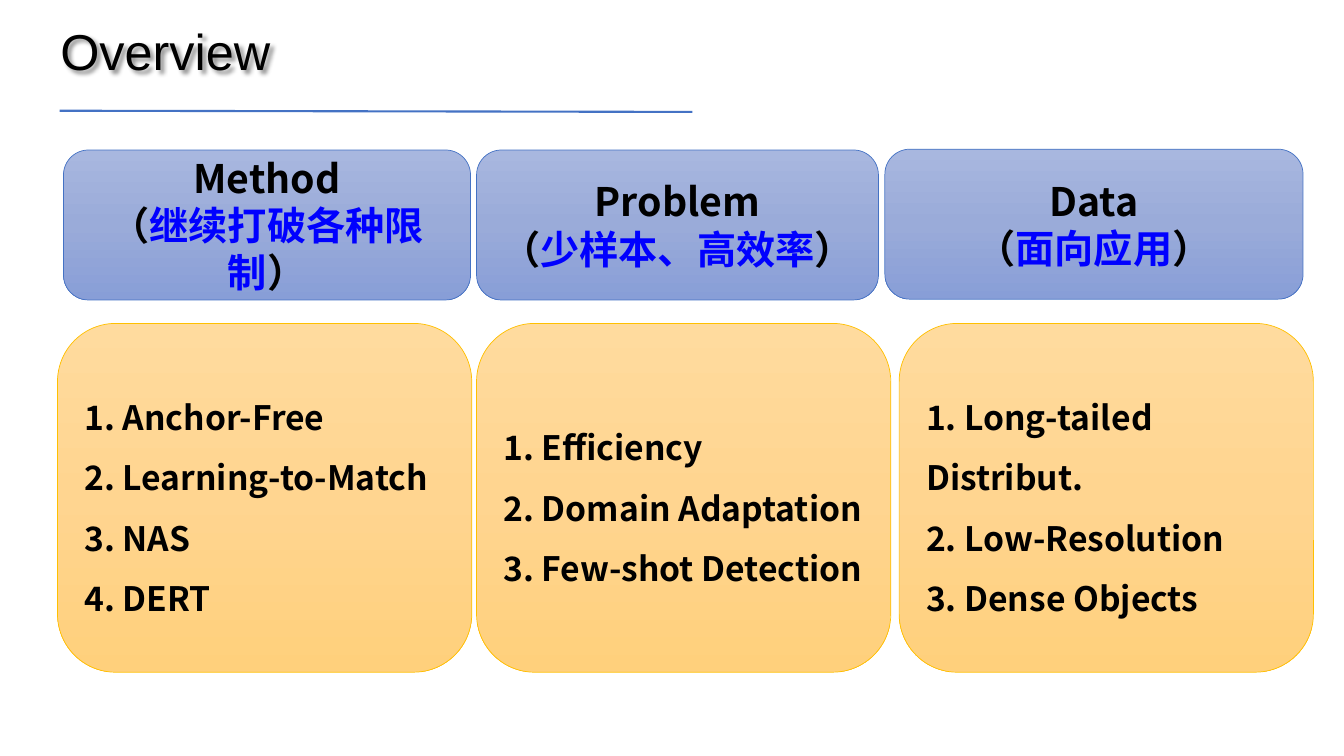
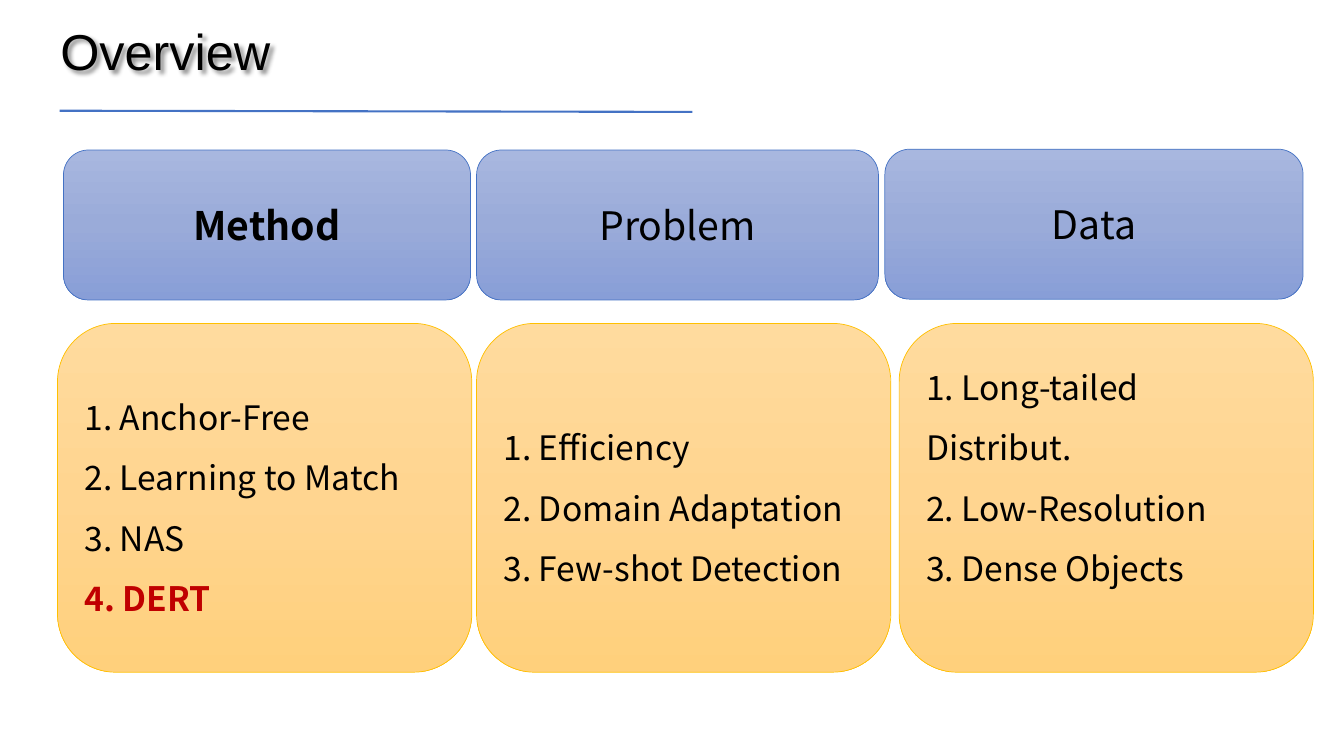
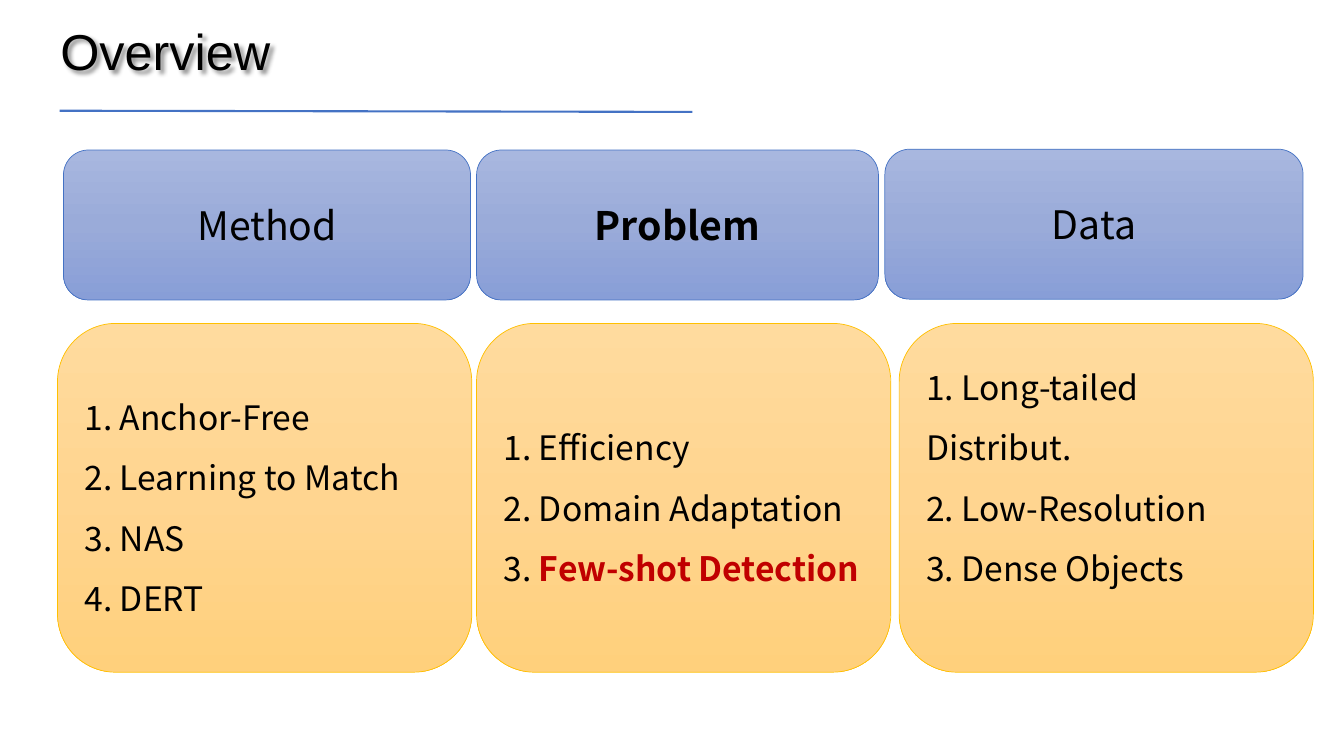
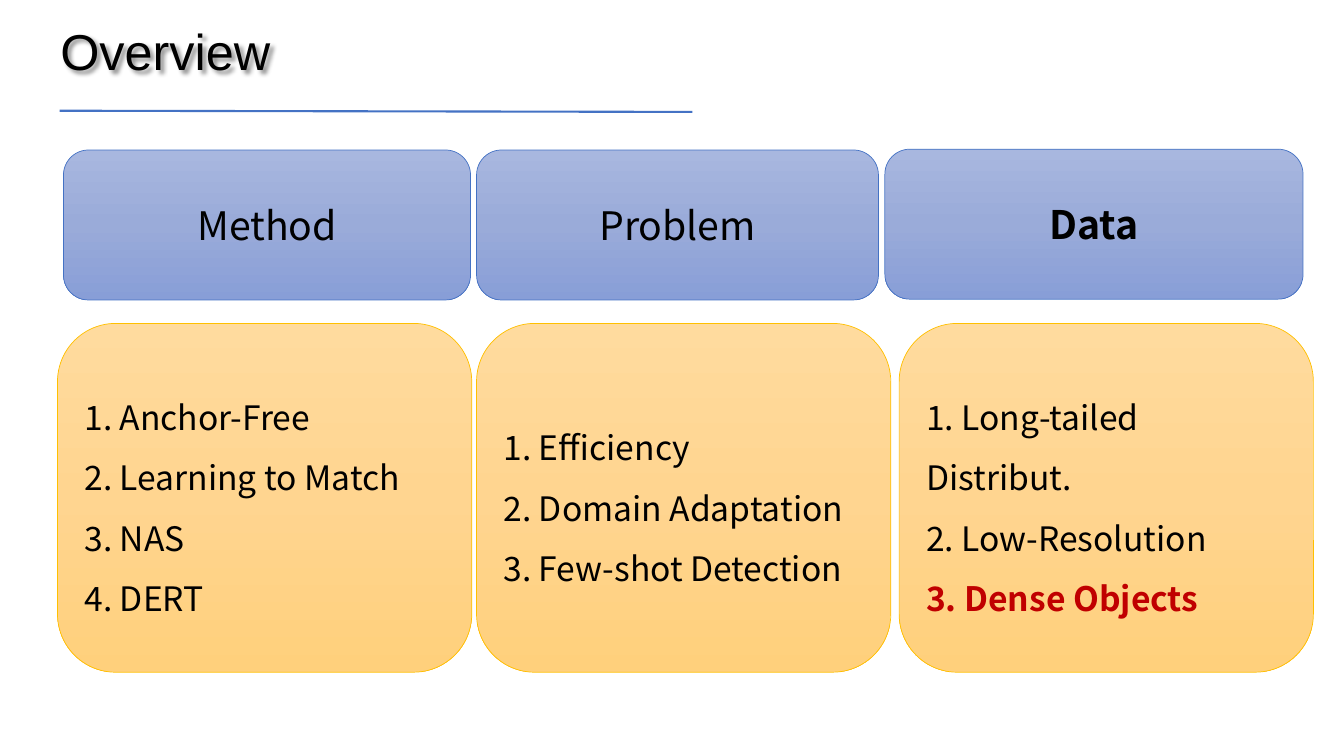
from copy import deepcopy
from dataclasses import dataclass

from lxml import etree
from pptx import Presentation
from pptx.dml.color import RGBColor
from pptx.enum.shapes import MSO_CONNECTOR, MSO_SHAPE
from pptx.enum.text import MSO_ANCHOR as Anchor, MSO_AUTO_SIZE as AutoSize, PP_ALIGN as Align
from pptx.oxml import parse_xml
from pptx.oxml.ns import nsdecls, qn
from pptx.util import Cm, Pt


@dataclass(frozen=True)
class Theme:
    black: str = "000000"
    blue: str = "0000FF"
    red: str = "C00000"
    accent: str = "4472C4"
    gold: str = "FFC000"
    header_fill: tuple = ("A8B7DF", "9AABD9", "889ED7")
    panel_fill: tuple = ("FFDB9E", "FFD590", "FFD07C")
    title_font: str = "Arial"
    body_font: str = "Noto Sans CJK SC"
    title_size: int = 36
    header_size: int = 28
    panel_size: int = 24


THEME = Theme()
TITLE = "Overview"

# heading, focus, items
TOPICS = [
    ("Method", "继续打破各种限制",
     ["1. Anchor-Free", "2. Learning to Match", "3. NAS", "4. DERT"]),
    ("Problem", "少样本、高效率",
     ["1. Efficiency", "2. Domain Adaptation", "3. Few-shot Detection"]),
    ("Data", "面向应用",
     ["1. Long-tailed Distribut.", "2. Low-Resolution", "3. Dense Objects"]),
]
OPENING_NAMES = {"2. Learning to Match": "2. Learning-to-Match"}

# topic in focus (None: all of them), highlighted words, headings whose list sits higher
SLIDES = [
    (None, None, ()),
    ("Method", "4. DERT", ("Data",)),
    ("Problem", "Few-shot Detection", ("Data",)),
    ("Data", "3. Dense Objects", ()),
]

# left, top, width, height in cm
HEADER_BOXES = [(1.6, 3.78, 10.26, 3.78), (12.01, 3.78, 10.13, 3.78), (22.3, 3.76, 10.54, 3.78)]
PANEL_BOXES = [(left, 8.15, 10.44, 8.79) for left in (1.45, 12.01, 22.66)]
TITLE_BOX = (1.27, 0.56, 10.03, 1.63)
TITLE_RULE = (1.5, 2.79, 17.45, 2.82)
INSET, RAISED_INSET = 0.13, 1.65

TITLE_SHADOW = (
    f'<a:effectLst {nsdecls("a")}><a:outerShdw blurRad="38100" dist="38100" dir="2700000">'
    '<a:srgbClr val="000000"><a:alpha val="43000"/></a:srgbClr></a:outerShdw></a:effectLst>'
)


def write_text(shape, paragraphs, *, size, font, align=Align.LEFT, spacing=1.0, bottom=INSET):
    """Each paragraph is a list of (text, colour, bold) runs."""
    frame = shape.text_frame
    frame.word_wrap = True
    frame.vertical_anchor = Anchor.MIDDLE
    frame.margin_bottom = Cm(bottom)
    for index, runs in enumerate(paragraphs):
        paragraph = frame.add_paragraph() if index else frame.paragraphs[0]
        paragraph.alignment = align
        paragraph.line_spacing = spacing
        for text, colour, bold in runs:
            run = paragraph.add_run()
            run.text = text
            run.font.size = Pt(size)
            run.font.bold = bold
            run.font.color.rgb = RGBColor.from_string(colour)
            run.font.name = font
            etree.SubElement(run.font._element, qn("a:ea"), typeface=font)


def add_card(slide, box, colours, outline):
    """Rounded box with a three-stop gradient running downwards."""
    card = slide.shapes.add_shape(MSO_SHAPE.ROUNDED_RECTANGLE, *map(Cm, box))
    card.shadow.inherit = False
    card.line.color.rgb = RGBColor.from_string(outline)
    card.line.width = Pt(0.5)
    card.fill.gradient()
    card.fill.gradient_angle = 270
    stop_list = card._element.spPr.find(".//" + qn("a:gsLst"))
    stop_list.insert(1, deepcopy(stop_list[0]))
    for stop, colour, position in zip(card.fill.gradient_stops, colours, (0, 0.5, 1)):
        stop.color.rgb = RGBColor.from_string(colour)
        stop.position = position
    return card


def add_title(slide):
    title = slide.shapes.add_textbox(*map(Cm, TITLE_BOX))
    title._element.spPr.append(parse_xml(TITLE_SHADOW))
    write_text(title, [[(TITLE, THEME.black, False)]],
               size=THEME.title_size, font=THEME.title_font, spacing=0.9)
    title.text_frame.auto_size = AutoSize.SHAPE_TO_FIT_TEXT
    rule = slide.shapes.add_connector(MSO_CONNECTOR.STRAIGHT, *map(Cm, TITLE_RULE))
    rule.line.color.rgb = RGBColor.from_string(THEME.accent)
    rule.line.width = Pt(1.5)
    etree.SubElement(rule._element.spPr, qn("a:effectLst"))


def item_runs(item, highlight, bold):
    if not highlight or highlight not in item:
        return [(item, THEME.black, bold)]
    before, found, _ = item.partition(highlight)
    runs = [(before, THEME.black, bold), (found, THEME.red, True)]
    return [run for run in runs if run[0]]


def add_overview(presentation, focus_topic, highlight, raised):
    slide = presentation.slides.add_slide(presentation.slide_layouts[6])
    add_title(slide)
    opening = focus_topic is None
    for (heading, focus, items), header_box, panel_box in zip(TOPICS, HEADER_BOXES, PANEL_BOXES):
        lines = [[(heading, THEME.black, opening or heading == focus_topic)]]
        if opening:
            items = [OPENING_NAMES.get(item, item) for item in items]
            lines.append([("（", THEME.black, True), (focus, THEME.blue, True),
                          ("）", THEME.black, True)])
        header = add_card(slide, header_box, THEME.header_fill, THEME.accent)
        write_text(header, lines, size=THEME.header_size, font=THEME.body_font,
                   align=Align.CENTER)
        panel = add_card(slide, panel_box, THEME.panel_fill, THEME.gold)
        write_text(panel, [item_runs(item, highlight, opening) for item in items],
                   size=THEME.panel_size, font=THEME.body_font, spacing=1.5,
                   bottom=RAISED_INSET if heading in raised else INSET)


def main():
    presentation = Presentation()
    presentation.slide_width, presentation.slide_height = Cm(33.87), Cm(19.05)
    for slide_plan in SLIDES:
        add_overview(presentation, *slide_plan)
    presentation.save("out.pptx")


if __name__ == "__main__":
    main()
